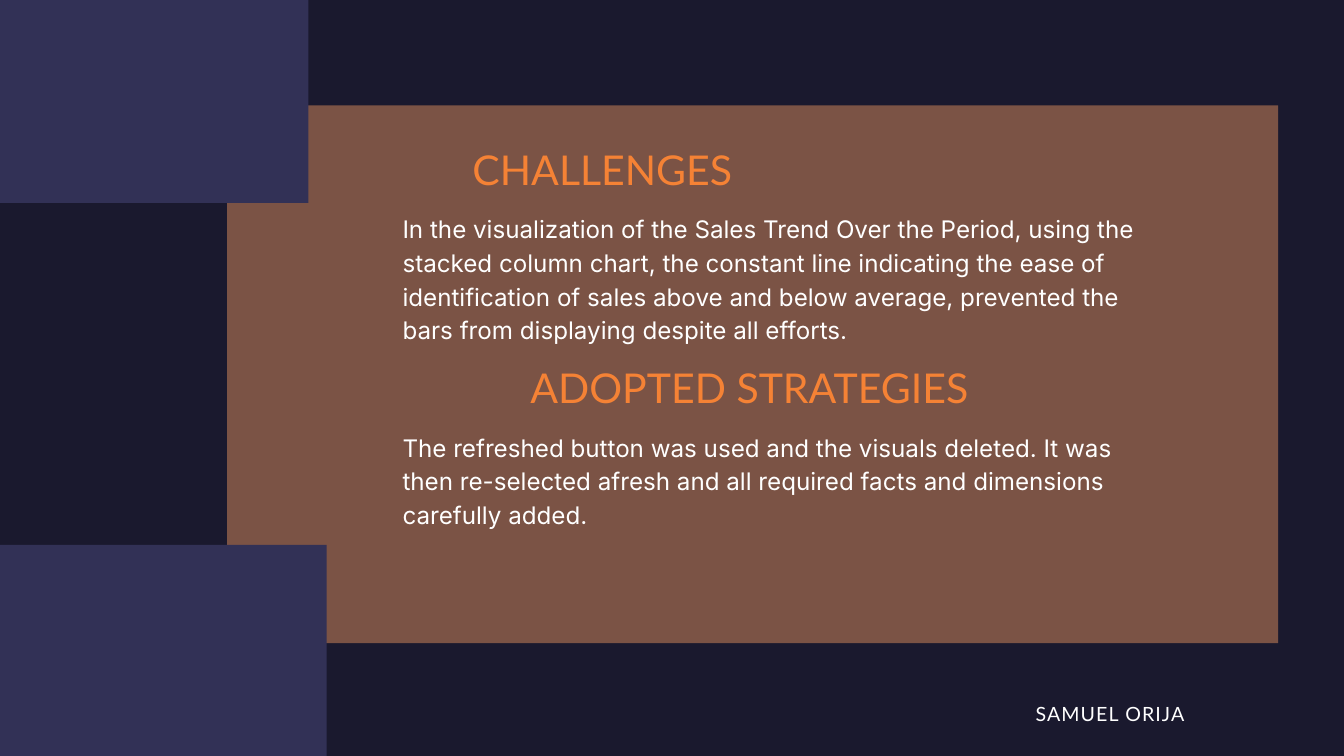
from pptx import Presentation
from pptx import util as u
from pptx.dml.color import RGBColor
from pptx.enum import shapes, text

NIGHT = RGBColor(0x1A, 0x19, 0x2E)
INDIGO = RGBColor(0x32, 0x31, 0x56)
BROWN = RGBColor(0x7B, 0x53, 0x45)
ORANGE = RGBColor(0xF5, 0x82, 0x35)
WHITE = RGBColor(0xFF, 0xFF, 0xFF)

COLUMNS, ROWS = 20, 11.25
UNIT = u.Inches(1)
TEXT_LEFT = 5.99
BODY_WIDTH = 11.3
RIGHT, LEFT, CENTER = text.PP_ALIGN.RIGHT, text.PP_ALIGN.LEFT, text.PP_ALIGN.CENTER

PANELS = [
    (3.38, 1.57, 15.64, 8, BROWN),
    (0, 0, 4.59, 3.02, INDIGO),
    (0, 8.11, 4.86, ROWS - 8.11, INDIGO),
]

STYLES = {
    "heading": dict(font="Lato", size=44, line=55.4, color=ORANGE, align=RIGHT, tracking=0),
    "body": dict(font="Inter", size=25.9, line=36.2, color=WHITE, align=LEFT, tracking=0),
    "author": dict(font="Lato", size=21, line=29.4, color=WHITE, align=CENTER, tracking=120),
}

TEXTS = [
    ("heading", 3.54, 2.11, 7.36, 0.77, "CHALLENGES"),
    ("body", TEXT_LEFT, 3.12, BODY_WIDTH, 1.98,
     "In the visualization of the Sales Trend Over the Period, using the stacked column chart, "
     "the constant line indicating the ease of identification of sales above and below average, "
     "prevented the bars from displaying despite all efforts."),
    ("heading", TEXT_LEFT, 5.36, 8.43, 0.77, "ADOPTED STRATEGIES"),
    ("body", TEXT_LEFT, 6.37, BODY_WIDTH, 1.49,
     "The refreshed button was used and the visuals deleted. It was then re-selected afresh "
     "and all required facts and dimensions carefully added."),
    ("author", 13.37, 10.38, 6.3, 0.4, "SAMUEL ORIJA"),
]


def place(*lengths):
    return [round(length * UNIT) for length in lengths]


def add_panel(page, left, top, width, height, color):
    panel = page.shapes.add_shape(shapes.MSO_SHAPE.RECTANGLE, *place(left, top, width, height))
    panel.shadow.inherit = False
    panel.fill.solid()
    panel.fill.fore_color.rgb = color
    panel.line.fill.background()


def add_text(page, style_name, left, top, width, height, words):
    style = STYLES[style_name]
    frame = page.shapes.add_textbox(*place(left, top, width, height)).text_frame
    frame.word_wrap = True
    frame.margin_left = frame.margin_right = frame.margin_top = frame.margin_bottom = 0
    para = frame.paragraphs[0]
    para.alignment = style["align"]
    para.line_spacing = u.Pt(style["line"])
    span = para.add_run()
    span.text = words
    span.font.name = style["font"]
    span.font.size = u.Pt(style["size"])
    span.font.color.rgb = style["color"]
    if style["tracking"]:
        span.font._element.set("spc", str(style["tracking"]))


def main():
    deck = Presentation()
    deck.slide_width, deck.slide_height = place(COLUMNS, ROWS)
    page = deck.slides.add_slide(deck.slide_layouts[6])
    page.background.fill.solid()
    page.background.fill.fore_color.rgb = NIGHT
    for panel in PANELS:
        add_panel(page, *panel)
    for entry in TEXTS:
        add_text(page, *entry)
    deck.save("out.pptx")


if __name__ == "__main__":
    main()
